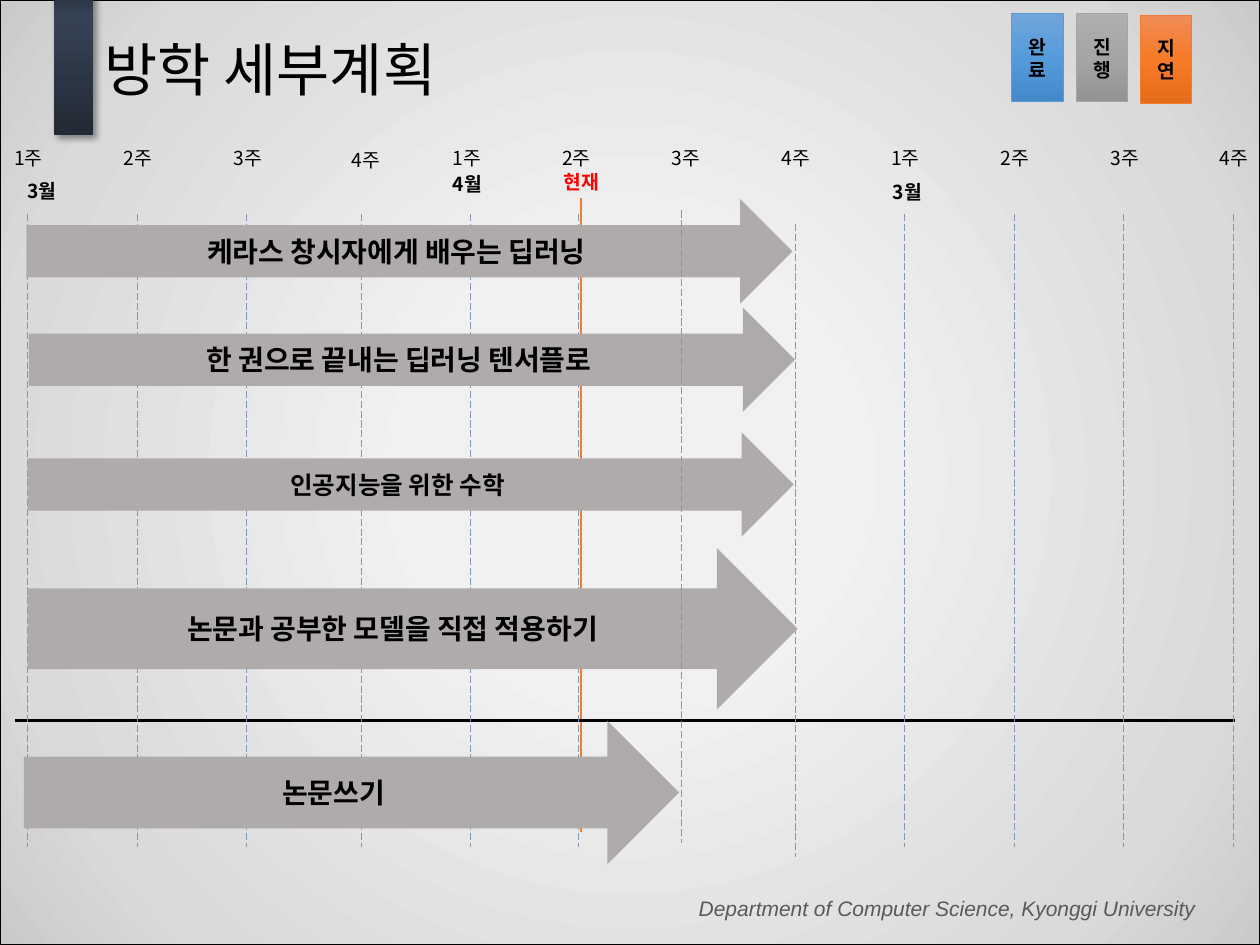
from dataclasses import dataclass
from lxml.etree import SubElement
from pptx import Presentation
from pptx.dml.color import RGBColor
from pptx.enum.dml import MSO_LINE
from pptx.enum.shapes import MSO_CONNECTOR, MSO_SHAPE
from pptx.enum.text import MSO_ANCHOR, PP_ALIGN
from pptx.oxml import parse_xml
from pptx.oxml.ns import nsdecls, qn
from pptx.util import Inches, Pt

HUES = {"ink": "000000", "now": "FF0000", "mark": "ED7D31", "week": "8497B0",
        "arrow": "AFABAB", "foot": "595959", "done": "5B9BD5", "doing": "A5A5A5"}
FONT = "Noto Sans CJK KR"
LEFT, STEP = 0.22, 0.87
SHIFT = {3: 0.04, 4: 0.03, 5: 0.02, 6: -0.03}
DROP = {6: -0.03, 7: 0.08}


@dataclass
class Task:
    text: str
    left: float
    top: float
    width: float
    height: float = 0.83
    size: int = 16


@dataclass
class Chip:
    text: str
    top: float
    edge: str
    stops: list


@dataclass
class Note:
    text: str
    left: float
    top: float
    width: float = 0.98
    height: float = 0.29
    hue: str = "ink"


TASKS = [
    Task("케라스 창시자에게 배우는 딥러닝", 0.21, 1.58, 6.08),
    Task("인공지능을 위한 수학", 0.22, 3.43, 6.08, size=14),
    Task("논문과 공부한 모델을 직접 적용하기", 0.22, 4.35, 6.11, 1.28),
    Task("한 권으로 끝내는 딥러닝 텐서플로", 0.23, 2.44, 6.08),
    Task("논문쓰기", 0.19, 5.72, 5.2, 1.14),
]
CHIPS = [
    Chip("완\n료", 0.11, "done", [(0, "71A6DB"), (50, "559BDB"), (100, "448ACA")]),
    Chip("진\n행", 0.11, "doing", [(0, "AFAFAF"), (50, "A5A5A5"), (100, "939393")]),
    Chip("지\n연", 0.12, "mark", [(0, "F18C57"), (50, "F67B28"), (100, "E56C19")]),
]
NOTES = [
    Note("3월", -0.16, 1.37),
    Note("4월", 3.22, 1.32),
    Note("3월", 6.71, 1.38),
    Note("현재", 4.39, 1.31, 0.45, 0.27, "now"),
]

deck = Presentation()
deck.slide_width, deck.slide_height = Inches(10), Inches(7.5)
slide = deck.slides.add_slide(deck.slide_layouts[5])
shapes = slide.shapes


def color(name: str) -> RGBColor:
    return RGBColor.from_string(HUES[name])


def box(*vals: float) -> list:
    return [Inches(v) for v in vals]


def write(shape, text: str, size: float = 11, hue: str = "ink", font: str = FONT,
          bold: bool = False, italic: bool = False, align=PP_ALIGN.CENTER,
          anchor=MSO_ANCHOR.TOP, pad: float = 0.1, space: float = 1.0) -> None:
    frame = shape.text_frame
    frame.word_wrap = True
    frame.vertical_anchor = anchor
    frame.margin_left = frame.margin_right = Inches(pad)
    para = frame.paragraphs[0]
    para.text = text
    para.alignment = align
    para.line_spacing = space
    for run in para.runs:
        face = run.font
        face.size, face.bold, face.italic = Pt(size), bold, italic
        face.name = font
        face.color.rgb = color(hue)
        SubElement(run._r.get_or_add_rPr(), qn("a:ea"), typeface=font)


def label(note: Note, **style) -> None:
    area = shapes.add_textbox(*box(note.left, note.top, note.width, note.height))
    write(area, note.text, hue=note.hue, **style)


def block(kind, *place: float, edge: str = ""):
    shape = shapes.add_shape(kind, *box(*place))
    shape.shadow.inherit = False
    if edge:
        shape.line.color.rgb = color(edge)
        shape.line.width = Pt(0.5)
    else:
        shape.line.fill.background()
    return shape


def blend(shape, stops: list, angle: int = 90, radial: bool = False) -> None:
    marks = "".join(f'<a:gs pos="{pos * 1000}"><a:srgbClr val="{hue}"/></a:gs>'
                    for pos, hue in stops)
    way = f'<a:lin ang="{angle * 60000}" scaled="0"/>'
    if radial:
        way = ('<a:path path="circle"><a:fillToRect l="50000" t="50000" '
               'r="50000" b="50000"/></a:path>')
    grad = parse_xml(f'<a:gradFill {nsdecls("a")} rotWithShape="1">'
                     f'<a:gsLst>{marks}</a:gsLst>{way}</a:gradFill>')
    shape._element.spPr.find(qn("a:prstGeom")).addnext(grad)


def rule(x1: float, y1: float, x2: float, y2: float, hue: str,
         width: float = 1.5, dash=None) -> None:
    line = shapes.add_connector(MSO_CONNECTOR.STRAIGHT, *box(x1, y1, x2, y2))
    line.line.color.rgb = color(hue)
    line.line.width = Pt(width)
    if dash:
        line.line.dash_style = dash
    SubElement(line._element.spPr, qn("a:effectLst"))


def week(col: int) -> None:
    x = LEFT + STEP * col + SHIFT.get(col, 0)
    y = 1.7 + DROP.get(col, 0)
    rule(x, y, x, y + 5.02, "week", 0.5, MSO_LINE.LONG_DASH)


back = block(MSO_SHAPE.RECTANGLE, 0, 0, 10, 7.5, edge="ink")
blend(back, [(27, "F1F1F1"), (80, "DADADA"), (100, "CACACA")], radial=True)

foot = shapes.add_textbox(*box(1.93, 7.06, 7.66, 0.3))
write(foot, "Department of Computer Science, Kyonggi University", size=12, hue="foot",
      font="Arial", italic=True, align=PP_ALIGN.RIGHT)

bar = block(MSO_SHAPE.RECTANGLE, 0.43, -0.11, 0.31, 1.18)
blend(bar, [(0, "222A35"), (80, "364355"), (100, "222A35")], angle=270)
glow = SubElement(bar._element.spPr.find(qn("a:effectLst")), qn("a:outerShdw"),
                  blurRad=str(Pt(4)), dist=str(Pt(3)), dir=str(45 * 60000),
                  algn="tl", rotWithShape="0")
shade = SubElement(glow, qn("a:srgbClr"), val=HUES["ink"])
SubElement(shade, qn("a:alpha"), val="40000")

rule(4.61, 1.57, 4.61, 6.6, "mark")

title = shapes.title
title.left, title.top, title.width, title.height = box(0.73, -0.15, 8.62, 1.45)
write(title, "방학 세부계획", size=33, align=PP_ALIGN.LEFT,
      anchor=MSO_ANCHOR.MIDDLE, space=0.9)
title._element.getparent().append(title._element)

rule(0.12, 5.72, 9.8, 5.72, "ink")

for num, chip in enumerate(CHIPS):
    tile = block(MSO_SHAPE.RECTANGLE, 8.03 + 0.51 * num, chip.top, 0.41, 0.7, edge=chip.edge)
    blend(tile, chip.stops)
    write(tile, chip.text, bold=True, anchor=MSO_ANCHOR.MIDDLE, pad=0)

for col in range(12):
    if col != 6:
        week(col)
    nudge = col == 3
    label(Note(f"{col % 4 + 1}주", LEFT + STEP * col - 0.29 + 0.07 * nudge,
               1.11 + 0.02 * nudge, 0.59))

for note in NOTES:
    now = note.hue == "now"
    label(note, bold=True, pad=0 if now else 0.1,
          anchor=MSO_ANCHOR.MIDDLE if now else MSO_ANCHOR.TOP)

for task in TASKS:
    arrow = block(MSO_SHAPE.RIGHT_ARROW, task.left, task.top, task.width, task.height)
    arrow.fill.solid()
    arrow.fill.fore_color.rgb = color("arrow")
    write(arrow, task.text, size=task.size, bold=True, anchor=MSO_ANCHOR.MIDDLE, pad=0)

week(6)
deck.save("out.pptx")
